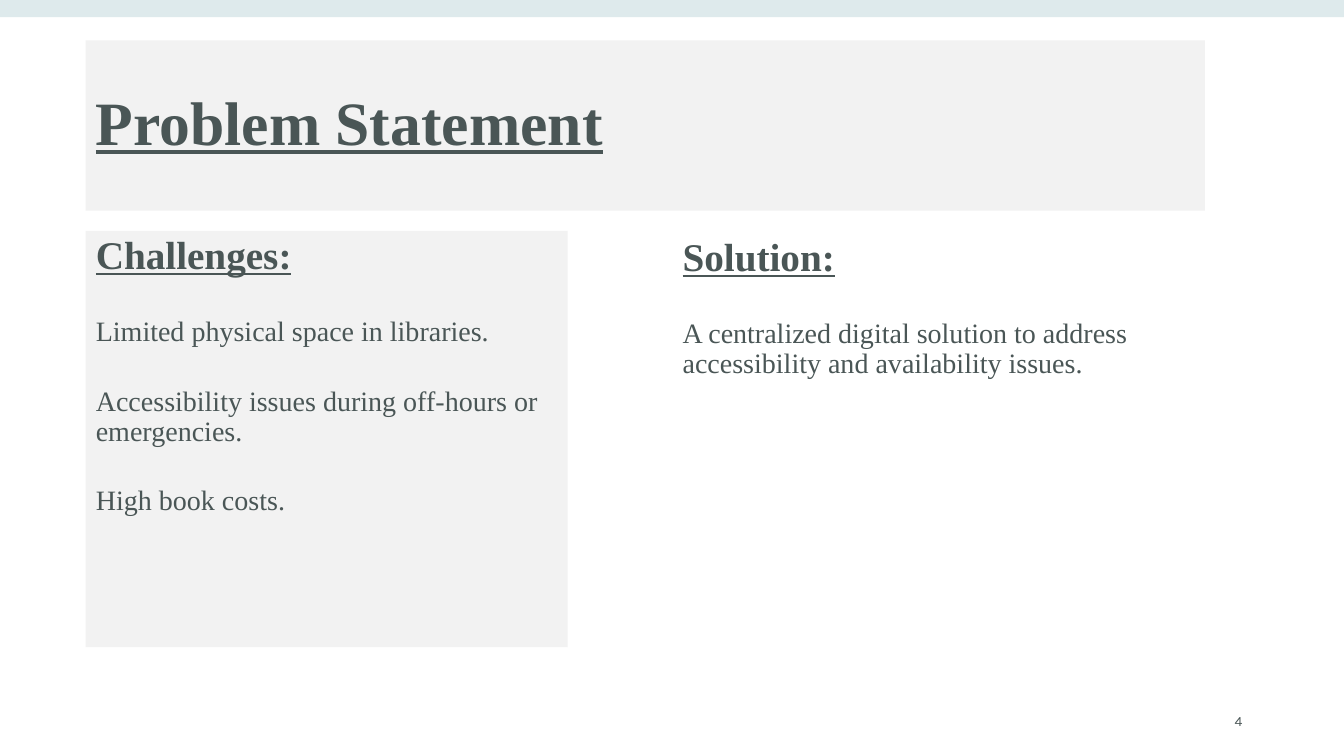
from pptx import Presentation
from pptx.dml.color import RGBColor
from pptx.enum.shapes import MSO_SHAPE
from pptx.enum.text import MSO_ANCHOR, MSO_AUTO_SIZE, PP_ALIGN
from pptx.oxml.xmlchemy import OxmlElement
from pptx.util import Inches, Pt

TITLE = "Problem Statement"
COLUMNS = [
    {"heading": "Challenges:",
     "items": ["Limited physical space in libraries.",
               "Accessibility issues during off-hours or emergencies.",
               "High book costs."],
     "at": (0.85, 2.29), "panel": True},
    {"heading": "Solution:",
     "items": ["A centralized digital solution to address accessibility "
               "and availability issues."],
     "at": (6.67, 2.31), "panel": False},
]
PAGE_NUMBER = "4"
COLUMN_SIZE = (4.78, 4.13)
SERIF, SANS = "Times New Roman", "Karla"
INK, PANEL, BAND = "4A5656", "F2F2F2", "BED6DA"


def paint(target, color):
    target.fill.solid()
    target.fill.fore_color.rgb = RGBColor.from_string(color)


def place(shape, left, top, width, height):
    shape.left, shape.top = Inches(left), Inches(top)
    shape.width, shape.height = Inches(width), Inches(height)


def style(para, size, name=SERIF, strong=False):
    """Set the paragraph's font; strong means bold and underlined."""
    font = para.font
    font.name, font.size = name, Pt(size)
    font.bold = font.underline = strong
    font.color.rgb = RGBColor.from_string(INK)


def add_band(page, width):
    band = page.shapes.add_shape(MSO_SHAPE.RECTANGLE, 0, 0, width, Inches(0.17))
    band.shadow.inherit = False
    band.line.fill.background()
    paint(band, BAND)
    alpha = OxmlElement("a:alpha")
    alpha.set("val", "50000")
    band.fill._xPr.solidFill[0].append(alpha)


def fill_title(title):
    place(title, 0.85, 0.4, 11.1, 1.69)
    paint(title, PANEL)
    frame = title.text_frame
    frame.text = TITLE
    frame.auto_size = MSO_AUTO_SIZE.NONE
    frame.vertical_anchor = MSO_ANCHOR.MIDDLE
    para = frame.paragraphs[0]
    para.alignment, para.line_spacing = PP_ALIGN.LEFT, 0.9
    style(para, 44, strong=True)


def fill_column(body, column):
    place(body, *column["at"], *COLUMN_SIZE)
    if column["panel"]:
        paint(body, PANEL)
    frame = body.text_frame
    frame.auto_size = MSO_AUTO_SIZE.NONE
    frame.margin_right = Inches(0.05)
    frame.text = "\n".join([column["heading"], *column["items"]])
    for index, para in enumerate(frame.paragraphs):
        heading = index == 0
        properties = para._p.get_or_add_pPr()
        properties.set("marL", "0")
        properties.set("indent", "0")
        properties.append(OxmlElement("a:buNone"))
        para.line_spacing = 0.9
        para.space_before = Pt(0 if heading else 10)
        para.space_after = Pt(18)
        style(para, 28 if heading else 20, strong=heading)


def add_page_number(page):
    box = page.shapes.add_textbox(Inches(9.42), Inches(6.95), Inches(3), Inches(0.4))
    frame = box.text_frame
    frame.word_wrap = True
    frame.vertical_anchor = MSO_ANCHOR.MIDDLE
    frame.text = PAGE_NUMBER
    para = frame.paragraphs[0]
    para.alignment = PP_ALIGN.RIGHT
    style(para, 10, SANS)
    para.runs[0].font._element.set("spc", "150")


def main():
    deck = Presentation()
    deck.slide_width, deck.slide_height = Inches(13.33), Inches(7.5)
    page = deck.slides.add_slide(deck.slide_layouts.get_by_name("Two Content"))
    add_band(page, deck.slide_width)
    fill_title(page.shapes.title)
    for index, column in enumerate(COLUMNS, start=1):
        fill_column(page.placeholders[index], column)
    add_page_number(page)
    deck.save("out.pptx")


if __name__ == "__main__":
    main()
